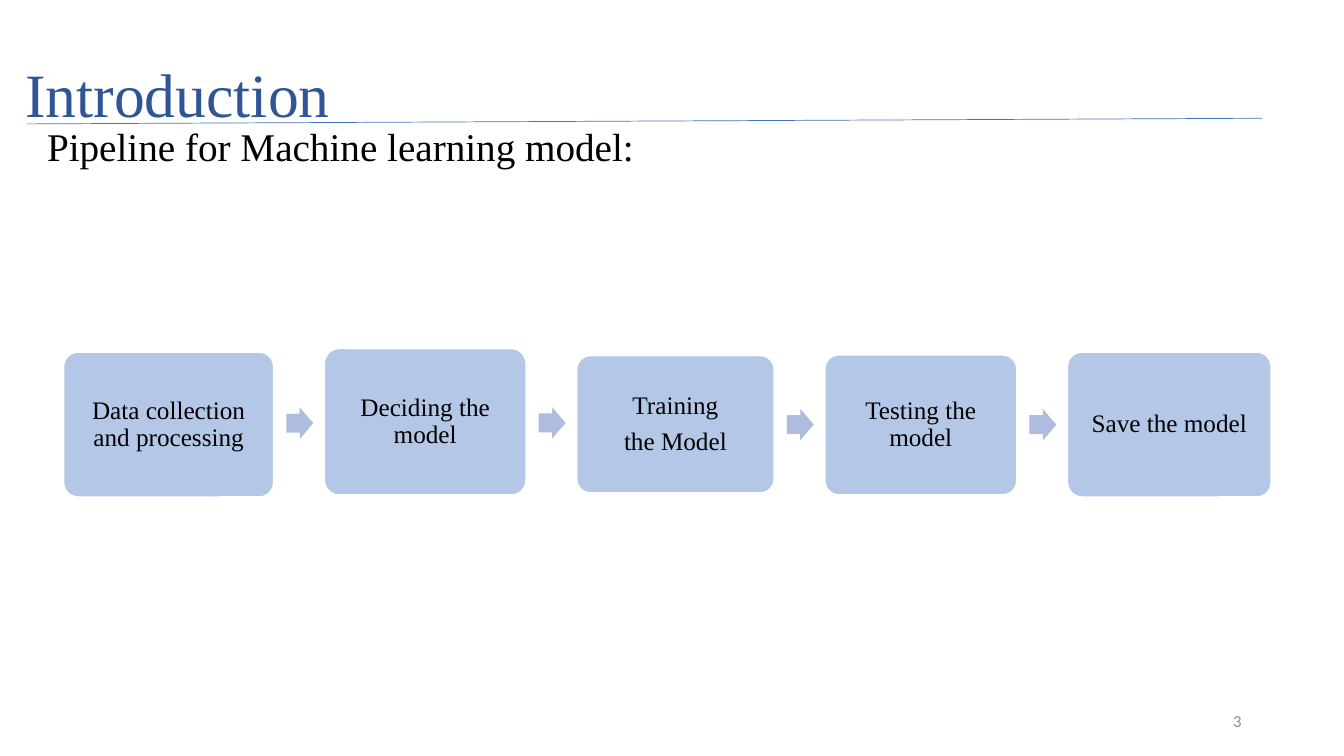
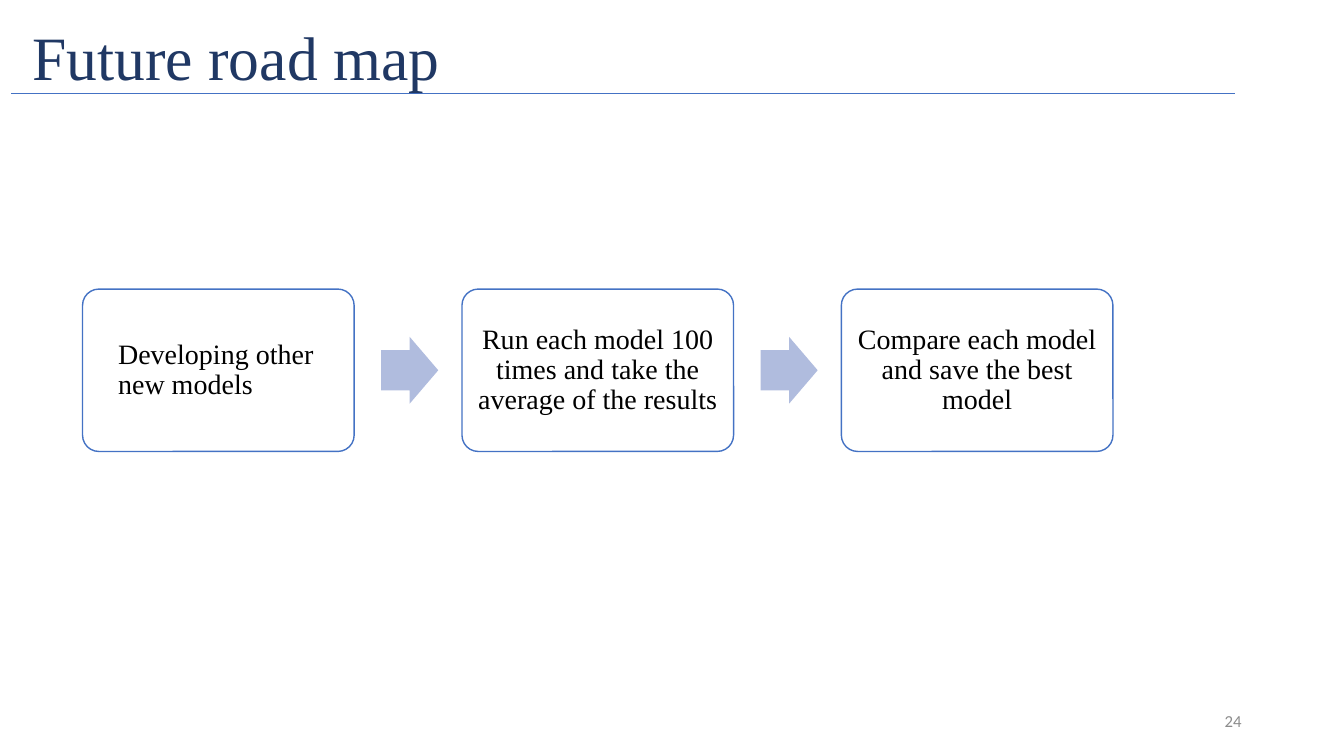
import math

import pptx
import pptx.dml.color
import pptx.enum.shapes
import pptx.enum.text
import pptx.util
from lxml import etree

Pt = pptx.util.Pt
SHAPE = pptx.enum.shapes.MSO_SHAPE
ALIGN = pptx.enum.text.PP_ALIGN
ANCHOR = pptx.enum.text.MSO_ANCHOR

COLORS = {
    "rule": "4472C4",
    "title": "2F5597",
    "title_dark": "203864",
    "text": "000000",
    "number": "8C8C8C",
    "box": "B4C7E7",
    "box_edge": "FFFFFF",
    "arrow": "B0BCDE",
}
SERIF = "Times New Roman"
SANS = "Calibri"


def rgb(name):
    return pptx.dml.color.RGBColor.from_string(COLORS[name])


def write(tf, text, size, color="text", font=SERIF, align=ALIGN.LEFT,
          spacing=1.0, after=0):
    """Fill a text frame, one paragraph for each line of text."""
    tf.word_wrap = True
    tf.text = text
    for p in tf.paragraphs:
        p.alignment = align
        p.line_spacing = spacing
        p.space_after = Pt(after)
        for r in p.runs:
            r.font.size = Pt(size)
            r.font.name = font
            r.font.color.rgb = rgb(color)


def add_text(s, box, text, size, anchor=ANCHOR.MIDDLE, **style):
    tf = s.shapes.add_textbox(*map(Pt, box)).text_frame
    tf.vertical_anchor = anchor
    write(tf, text, size, **style)


def add_rule(s, start, end):
    line = s.shapes.add_connector(pptx.enum.shapes.MSO_CONNECTOR.STRAIGHT,
                                  *map(Pt, start + end))
    line.line.color.rgb = rgb("rule")
    line.line.width = Pt(0.5)
    etree.SubElement(line._element.spPr, pptx.oxml.ns.qn("a:effectLst"))


def add_frame(prs, title, title_at, title_color, rule, number):
    """Add a slide with its title, the rule under it and the page number."""
    s = prs.slides.add_slide(prs.slide_layouts[6])
    add_rule(s, *rule)
    add_text(s, title_at + (828, 64), title, 44, color=title_color, spacing=0.9)
    add_text(s, (678, 500.5, 216, 28.5), number, 12, color="number", font=SANS,
             align=ALIGN.RIGHT)
    return s


def add_step(s, box, text, size, inset, fill, edge):
    sp = s.shapes.add_shape(SHAPE.ROUNDED_RECTANGLE, *map(Pt, box))
    sp.shadow.inherit = False
    sp.adjustments[0] = 0.1
    if fill:
        sp.fill.solid()
        sp.fill.fore_color.rgb = rgb(fill)
    else:
        sp.fill.background()
    sp.line.color.rgb = rgb(edge)
    sp.line.width = Pt(1)
    tf = sp.text_frame
    tf.margin_left = tf.margin_right = Pt(inset)
    tf.margin_top = tf.margin_bottom = Pt(inset)
    tf.vertical_anchor = ANCHOR.MIDDLE
    write(tf, text, size, align=ALIGN.CENTER, spacing=0.9, after=0.35 * size)
    return sp


def add_step_arrow(s, before, after):
    """Point an arrow from one step box to the next, inside the gap."""
    x1, y1, w1, h1 = before
    x2, y2, w2, h2 = after
    gap = x2 - x1 - w1
    w = 0.53 * gap
    h = 1.17 * w
    mid1, mid2 = y1 + h1 / 2, y2 + h2 / 2
    sp = s.shapes.add_shape(SHAPE.RIGHT_ARROW, Pt(x1 + w1 + gap / 4),
                            Pt((mid1 + mid2 - h) / 2), Pt(w), Pt(h))
    sp.shadow.inherit = False
    sp.adjustments[0] = 0.6
    sp.adjustments[1] = 0.5
    sp.rotation = math.degrees(math.atan2(mid2 - mid1, x2 + w2 / 2 - x1 - w1 / 2))
    sp.fill.solid()
    sp.fill.fore_color.rgb = rgb("arrow")
    sp.line.fill.background()


def add_flow(s, left, top, width, steps, **style):
    """Spread steps (text, width, height, drop from top) with equal gaps."""
    gap = (width - sum(step[1] for step in steps)) / (len(steps) - 1)
    shapes, previous, x = [], None, left
    for text, w, h, drop in steps:
        box = (x, top + drop, w, h)
        shapes.append(add_step(s, box, text, **style))
        if previous:
            add_step_arrow(s, previous, box)
        previous = box
        x += w + gap
    return shapes


def add_introduction(prs):
    s = add_frame(prs, "Introduction", (11, 38), "title",
                  ((19.5, 88.5), (901.5, 84.5)), "3")
    steps = [
        ("Data collection and processing", 150, 103.5, 2.5),
        ("Deciding the model", 144, 104.5, 0),
        ("Training\nthe Model", 141, 98, 5),
        ("Testing the model", 137, 100, 4.5),
        ("Save the model", 145.5, 103.5, 2.5),
    ]
    add_flow(s, 45.5, 249, 862.5, steps, size=18, inset=5,
             fill="box", edge="box_edge")
    add_text(s, (26.5, 83.5, 633, 41), "Pipeline for Machine learning model:", 28,
             anchor=ANCHOR.TOP)


def add_road_map(prs):
    s = add_frame(prs, "Future road map", (16, 11), "title_dark",
                  ((8, 67), (882, 67)), "24")
    texts = [
        "Developing other new models",
        "Run each model 100 times and take the average of the results",
        "Compare each model and save the best model",
    ]
    steps = [(text, 194, 116, 0) for text in texts]
    shapes = add_flow(s, 59, 206.5, 736, steps, size=20, inset=6,
                      fill=None, edge="rule")
    p = shapes[0].text_frame.paragraphs[0]
    p.alignment = ALIGN.LEFT
    p._p.get_or_add_pPr().set("marL", str(Pt(16)))


def main():
    prs = pptx.Presentation()
    prs.slide_width, prs.slide_height = Pt(960), Pt(540)
    add_introduction(prs)
    add_road_map(prs)
    prs.save("out.pptx")


if __name__ == "__main__":
    main()
